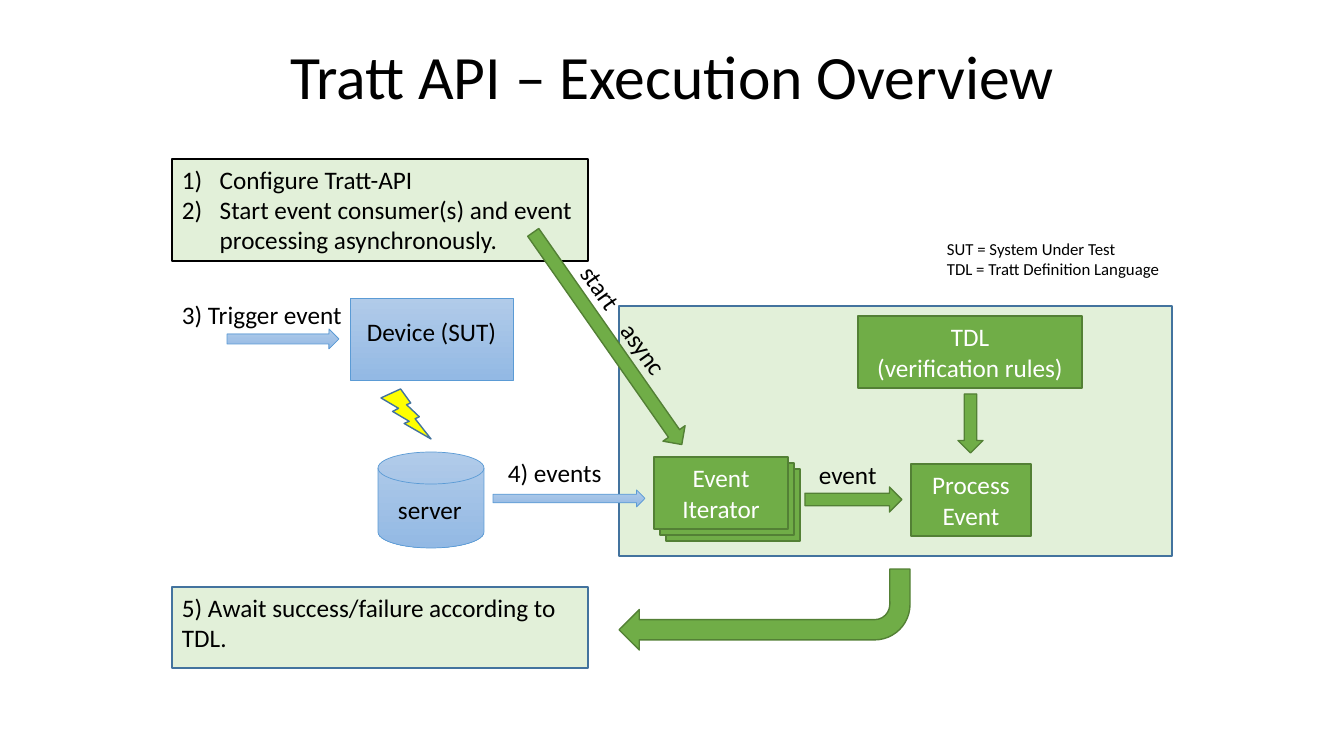
"""Builds the Tratt API execution overview slide."""
from lxml.etree import SubElement
from pptx import Presentation
from pptx.dml.color import RGBColor
from pptx.enum.shapes import MSO_SHAPE as Kind
from pptx.enum.text import MSO_ANCHOR as Anchor, PP_ALIGN as Align
from pptx.oxml.ns import qn
from pptx.util import Emu, Pt

BLACK = RGBColor(0x00, 0x00, 0x00)
WHITE = RGBColor(0xFF, 0xFF, 0xFF)
YELLOW = RGBColor(0xFF, 0xFF, 0x00)
PALE = RGBColor(0xE2, 0xF0, 0xD9)
GREEN = RGBColor(0x70, 0xAD, 0x47)
MOSS = RGBColor(0x53, 0x80, 0x35)
NAVY = RGBColor(0x43, 0x73, 0x9E)
BLUE = RGBColor(0x5B, 0x9B, 0xD5)
SKY = (RGBColor(0xB1, 0xCB, 0xE9), RGBColor(0x93, 0xB9, 0xE4))

FONT = "Calibri"
SCALE = 914400 / 100.8
STYLES = {
    "frame": (PALE, NAVY, 1),
    "start": (PALE, BLACK, 1),
    "system": (SKY, BLUE, 0.5),
    "bolt": (YELLOW, NAVY, 1),
    "step": (GREEN, MOSS, 1),
}

TITLE = "Tratt API – Execution Overview"
SETUP = ["Configure Tratt-API",
         "Start event consumer(s) and event processing asynchronously."]
AWAIT = ["5) Await success/failure according to TDL."]
TERMS = ["SUT = System Under Test", "TDL = Tratt Definition Language"]

SHAPES = [
    ("frame", Kind.RECTANGLE, (619, 306, 553, 250), 0),
    ("system", Kind.RECTANGLE, (350, 298, 163, 82), 0),
    ("system", Kind.RIGHT_ARROW, (227, 329, 112, 20), 0),
    ("system", Kind.FLOWCHART_MAGNETIC_DISK, (378, 452, 106, 96), 0),
    ("bolt", Kind.LIGHTNING_BOLT, (381, 389, 50, 50), 0),
    ("system", Kind.RIGHT_ARROW, (493, 490, 152, 17), 0),
    ("step", Kind.RIGHT_ARROW, (805, 487, 97, 25), 0),
    ("step", Kind.RIGHT_ARROW, (941, 411, 59, 25), 90),
    ("step", Kind.BENT_ARROW, (619, 569, 291, 81), 180),
]
STEPS = [
    (["Process", "Event"], (911, 464, 120, 72)),
    (["TDL", "(verification rules)"], (858, 316, 224, 72)),
]
STACK = ["Event", "Iterator"]
LABELS = [
    (["3) Trigger event"], (172, 294, 183, 40)),
    (["4) events"], (498, 452, 121, 40)),
    (["event"], (809, 454, 89, 40)),
    (["server"], (388, 489, 96, 40)),
]


def px(n):
    return Emu(round(n * SCALE))


def write(shape, lines, color=BLACK, size=18, align=Align.LEFT,
          anchor=Anchor.TOP):
    frame = shape.text_frame
    frame.word_wrap = True
    frame.vertical_anchor = anchor
    for i, line in enumerate(lines):
        para = frame.paragraphs[0] if i == 0 else frame.add_paragraph()
        para.alignment = align
        run = para.add_run()
        run.text = line
        run.font.name = FONT
        run.font.size = Pt(size)
        run.font.color.rgb = color
    return frame.paragraphs


def draw(style, kind, box, turn=0):
    shape = slide.shapes.add_shape(kind, *map(px, box))
    fill, line, width = STYLES[style]
    if fill is SKY:
        shape.fill.gradient()
        shape.fill.gradient_angle = 270
        for stop, color, at in zip(shape.fill.gradient_stops, SKY, (0, 1)):
            stop.color.rgb = color
            stop.position = at
    else:
        shape.fill.solid()
        shape.fill.fore_color.rgb = fill
    shape.line.color.rgb = line
    shape.line.width = Pt(width)
    shape.shadow.inherit = False
    shape.rotation = turn
    return shape


def label(lines, box, **look):
    text = slide.shapes.add_textbox(*map(px, box))
    return text, write(text, lines, **look)


def step(lines, box):
    write(draw("step", Kind.RECTANGLE, box), lines, WHITE,
          align=Align.CENTER, anchor=Anchor.MIDDLE)


deck = Presentation()
deck.slide_width, deck.slide_height = px(1344), px(756)
slide = deck.slides.add_slide(deck.slide_layouts[5])
title = slide.shapes.title
title.left, title.top, title.width, title.height = map(px, (93, 40, 1159, 80))
for para in write(title, [TITLE], size=44, align=Align.CENTER,
                  anchor=Anchor.MIDDLE):
    para.line_spacing = 0.9

for item in SHAPES:
    draw(*item)

setup = draw("start", Kind.RECTANGLE, (172, 159, 416, 102))
for para in write(setup, SETUP):
    props = para._p.get_or_add_pPr()
    props.set("marL", "342900")
    props.set("indent", "-342900")
    SubElement(props, qn("a:buAutoNum"), type="arabicParenR")
write(draw("frame", Kind.RECTANGLE, (172, 587, 416, 81)), AWAIT)
draw("step", Kind.RIGHT_ARROW, (478, 325, 259, 27), 55)

for lines, box in STEPS:
    step(lines, box)
for gap in (12, 6, 0):
    step([] if gap else STACK, (654 + gap, 457 + gap, 134, 72))

for lines, box in LABELS:
    label(lines, box)
label(["Device (SUT)"], (350, 311, 163, 55), align=Align.CENTER)
label(TERMS, (937, 234, 236, 50), size=12)
launch, paras = label(["start\tasync"], (549, 303, 154, 40))
launch.rotation = 54.8
tabs = SubElement(paras[0]._p.get_or_add_pPr(), qn("a:tabLst"))
SubElement(tabs, qn("a:tab"), pos=str(px(70)), algn="l")

deck.save("out.pptx")
